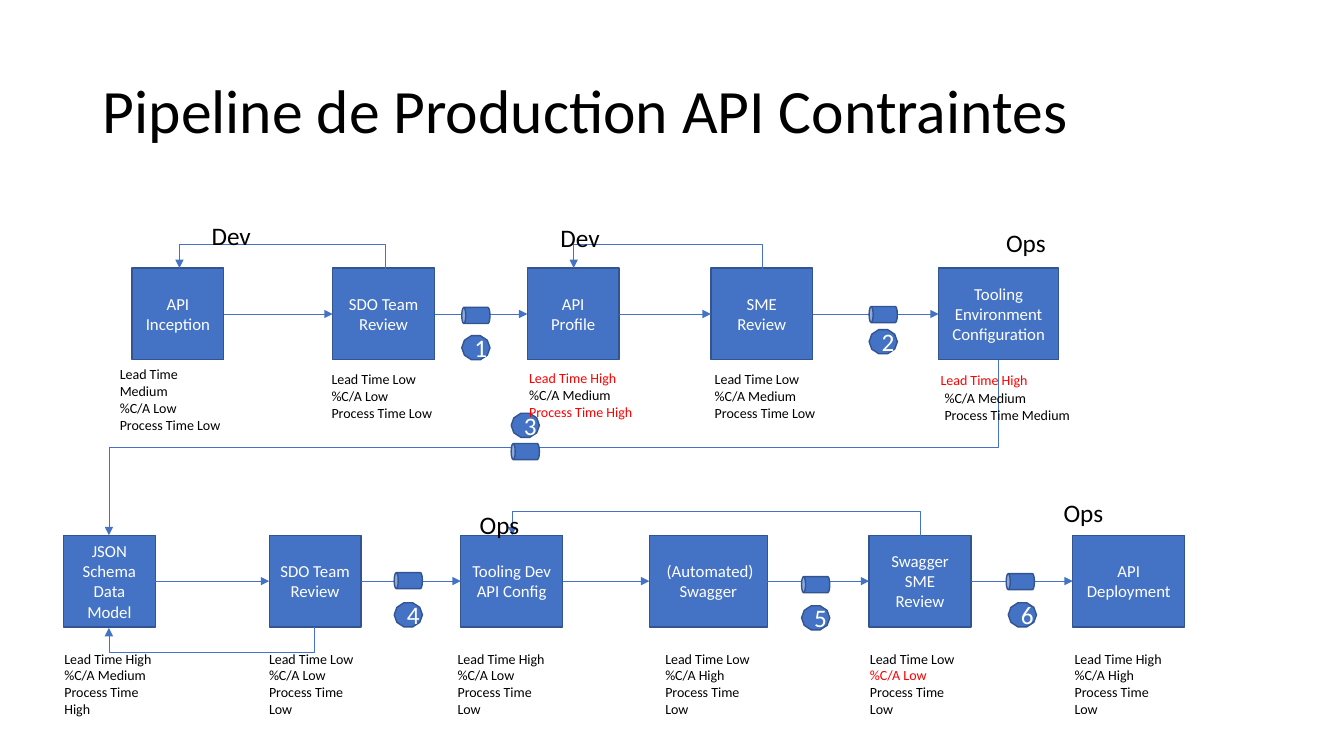
from lxml import etree
from pptx import Presentation
from pptx import util as u
from pptx.dml.color import RGBColor
from pptx.enum import shapes, text
from pptx.oxml import ns

BLUE = RGBColor(0x44, 0x72, 0xC4)
OUTLINE = RGBColor(0x32, 0x54, 0x91)
WHITE = RGBColor(0xFF, 0xFF, 0xFF)
BLACK = RGBColor(0, 0, 0)
RED = RGBColor(0xFF, 0, 0)
BOX_HEIGHT = 0.91
LEFT, CENTER = text.PP_ALIGN.LEFT, text.PP_ALIGN.CENTER


def write(shape, lines, size, color, align=LEFT, anchor=text.MSO_ANCHOR.MIDDLE, red=()):
    frame = shape.text_frame
    frame.vertical_anchor = anchor
    for index, line in enumerate(lines):
        paragraph = frame.paragraphs[0] if index == 0 else frame.add_paragraph()
        paragraph.alignment = align
        run = paragraph.add_run()
        run.text = line
        formats = {"name": "Calibri", "size": u.Pt(size)}
        for name, value in formats.items():
            setattr(run.font, name, value)
        run.font.color.rgb = RED if index in red else color
    return frame


def style(shape, line_color, width):
    shape.line.color.rgb = line_color
    shape.line.width = u.Pt(width)
    if isinstance(shape, type(slide.shapes.title)) or hasattr(shape, "fill"):
        shape.fill.solid()
        shape.fill.fore_color.rgb = BLUE
        shape.shadow.inherit = False
    else:
        outline = shape.line._get_or_add_ln()
        etree.SubElement(outline, ns.qn("a:tailEnd"), type="triangle")
        etree.SubElement(shape._element.spPr, ns.qn("a:effectLst"))


presentation = Presentation()
presentation.slide_width = u.Inches(13.33)
presentation.slide_height = u.Inches(7.5)
slide = presentation.slides.add_slide(presentation.slide_layouts[5])

title = slide.shapes.title
placement = {"left": 0.92, "top": 0.4, "width": 11.5, "height": 1.45}
for name, value in placement.items():
    setattr(title, name, u.Inches(value))
title_frame = write(title, ["Pipeline de Production API Contraintes"], 44, BLACK)
title_frame.paragraphs[0].line_spacing = 0.9

rows = [
    (2.66, [
        (1.31, 0.91, ["API", "Inception"]),
        (3.3, 1.01, ["SDO Team", "Review"]),
        (5.23, 0.91, ["API", "Profile"]),
        (7.05, 1.01, ["SME", "Review"]),
        (9.31, 1.19, ["Tooling Environment", "Configuration"]),
    ]),
    (5.31, [
        (0.63, 0.91, ["JSON Schema Data Model"]),
        (2.67, 0.91, ["SDO Team", "Review"]),
        (4.57, 1.01, ["Tooling Dev ", "API Config"]),
        (6.44, 1.17, [" (Automated)", "Swagger"]),
        (8.62, 1.01, ["Swagger SME", "Review"]),
        (10.64, 1.11, ["API Deployment"]),
    ]),
]
for top, steps in rows:
    previous = None
    for left, width, lines in steps:
        step = slide.shapes.add_shape(shapes.MSO_SHAPE.RECTANGLE, u.Inches(left), u.Inches(top),
                                      u.Inches(width), u.Inches(BOX_HEIGHT))
        style(step, OUTLINE, 1)
        write(step, lines, 12, WHITE, CENTER)
        if previous is not None:
            arrow = slide.shapes.add_connector(shapes.MSO_CONNECTOR.STRAIGHT, 0, 0, 0, 0)
            arrow.begin_connect(previous, 3)
            arrow.end_connect(step, 1)
            style(arrow, BLUE, 0.5)
        previous = step

feedback_loops = [
    (9.9, 3.57, 1.08, 5.31, 4.44),
    (3.82, 2.67, 1.78, 2.66, 2.42),
    (7.56, 2.67, 5.69, 2.66, 2.42),
    (3.12, 6.22, 1.08, 6.23, 6.48),
    (9.13, 5.32, 5.08, 5.31, 5.07),
]
for start_x, start_y, end_x, end_y, middle_y in feedback_loops:
    width, height = abs(end_y - start_y), start_x - end_x
    left = (start_x + end_x - width) / 2
    top = (start_y + end_y - height) / 2
    elbow = slide.shapes.add_connector(shapes.MSO_CONNECTOR.ELBOW, u.Inches(left), u.Inches(top),
                                       u.Inches(left + width), u.Inches(top + height))
    transform = elbow._element.spPr.find(ns.qn("a:xfrm"))
    if end_y > start_y:
        transform.set("rot", "5400000")
    else:
        transform.set("rot", "16200000")
        transform.set("flipV", "1")
    bend = round((middle_y - start_y) / (end_y - start_y) * 100000)
    guides = elbow._element.spPr.find(ns.qn("a:prstGeom")).find(ns.qn("a:avLst"))
    etree.SubElement(guides, ns.qn("a:gd"), name="adj1", fmla=f"val {bend}")
    style(elbow, BLUE, 0.5)

queues = [
    (4.64, 2.99, 4.58, 3.33),
    (8.68, 2.98, 8.62, 3.27),
    (5.13, 4.34, 5.07, 4.1),
    (3.97, 5.62, 3.91, 5.98),
    (8.01, 5.66, 7.95, 6.01),
    (10.04, 5.63, 10, 5.98),
]
for number, (can_left, can_top, badge_left, badge_top) in enumerate(queues, 1):
    can = slide.shapes.add_shape(shapes.MSO_SHAPE.CAN, u.Inches(can_left), u.Inches(can_top),
                                 u.Inches(0.16), u.Inches(0.28))
    can.rotation = 270
    style(can, OUTLINE, 1)
    badge = slide.shapes.add_shape(shapes.MSO_SHAPE.DECAGON, u.Inches(badge_left),
                                   u.Inches(badge_top), u.Inches(0.28), u.Inches(0.24))
    style(badge, OUTLINE, 1)
    write(badge, [str(number)], 18, WHITE, CENTER)

HIGH, LOW = "Lead Time High", "Lead Time Low"
PROCESS_HIGH, PROCESS_LOW = "Process Time High", "Process Time Low"
labels = [
    (5.15, 3.62, 1.24, 0.94, False, 10, [HIGH, "%C/A Medium", PROCESS_HIGH], (0, 2)),
    (6.99, 3.63, 1.21, 1.11, False, 10, [LOW, "%C/A Medium", PROCESS_LOW], ()),
    (9.23, 3.64, 1.08, 0.27, False, 10, [HIGH], (0,)),
    (9.27, 3.82, 1.46, 0.44, False, 10, ["%C/A Medium", "Process Time Medium"], ()),
    (1.09, 3.58, 1.23, 0.77, True, 10, ["Lead Time Medium", "%C/A Low", PROCESS_LOW], ()),
    (3.19, 3.63, 1.23, 0.61, True, 10, [LOW, "%C/A Low", PROCESS_LOW], ()),
]
lower_metrics = [
    (0.54, [HIGH, "%C/A Medium", PROCESS_HIGH], ()),
    (2.57, [LOW, "%C/A Low", PROCESS_LOW], ()),
    (4.44, [HIGH, "%C/A Low", PROCESS_LOW], ()),
    (6.5, [LOW, "%C/A High", PROCESS_LOW], ()),
    (8.53, [LOW, "%C/A Low", PROCESS_LOW], (1,)),
    (10.56, [HIGH, "%C/A High", PROCESS_LOW], ()),
]
for left, lines, red in lower_metrics:
    labels.append((left, 6.4, 1.1, 0.77, True, 10, lines, red))
teams = [("Ops", 10.45, 4.88), ("Ops", 9.88, 2.21), ("Dev", 5.46, 2.16),
         ("Dev", 2, 2.14), ("Ops", 4.66, 5)]
for team, left, top in teams:
    labels.append((left, top, 0.6, 0.4, False, 18, [team], ()))

for left, top, width, height, wrap, size, lines, red in labels:
    label = slide.shapes.add_textbox(u.Inches(left), u.Inches(top), u.Inches(width), u.Inches(height))
    frame = write(label, lines, size, BLACK, anchor=text.MSO_ANCHOR.TOP, red=red)
    frame.word_wrap = wrap
    frame.auto_size = text.MSO_AUTO_SIZE.SHAPE_TO_FIT_TEXT

presentation.save("out.pptx")
